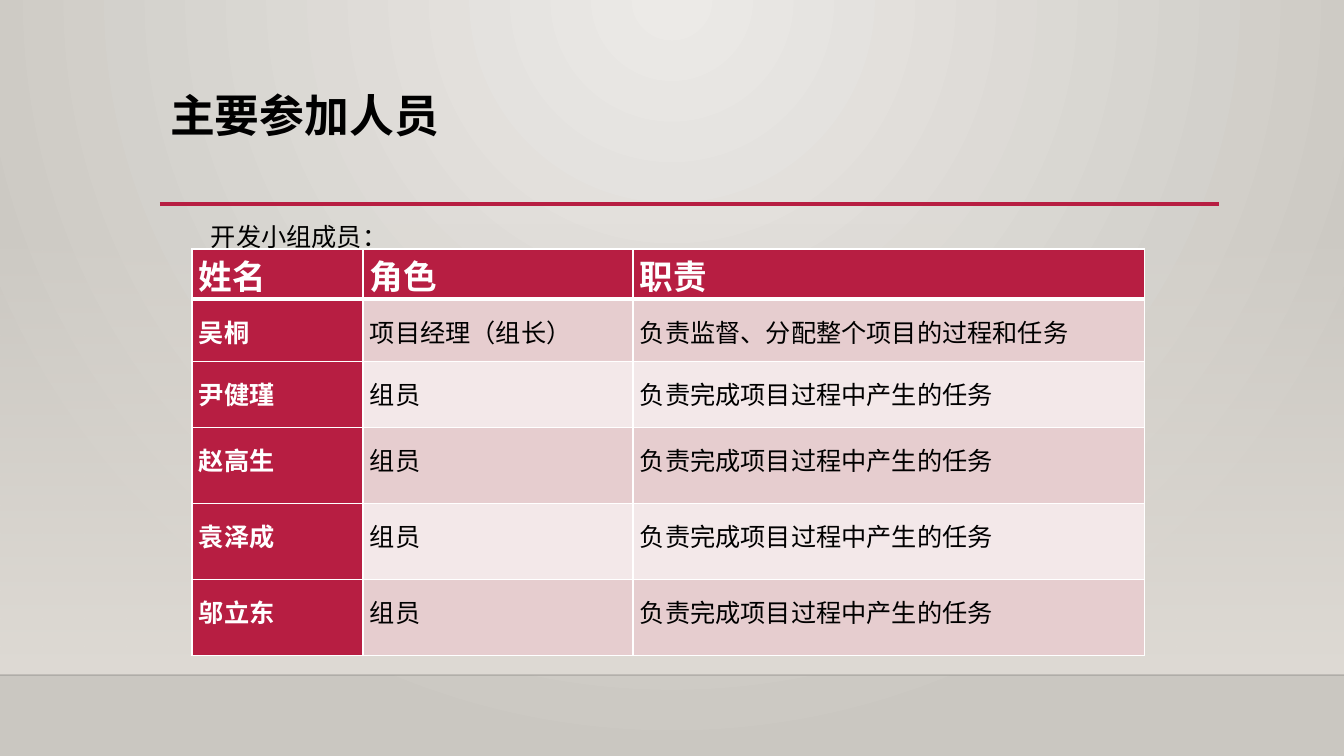
from dataclasses import dataclass

from lxml.etree import SubElement
from pptx import Presentation
from pptx.dml.color import RGBColor
from pptx.enum.shapes import MSO_CONNECTOR, MSO_SHAPE
from pptx.enum.text import MSO_ANCHOR, MSO_AUTO_SIZE, PP_ALIGN
from pptx.oxml import parse_xml
from pptx.oxml.ns import nsdecls, qn
from pptx.util import Pt

SLIDE_W, SLIDE_H = 1344, 756


@dataclass(frozen=True)
class Theme:
    """Colours, fonts and type sizes of the deck."""
    ink: str = "000000"
    white: str = "FFFFFF"
    accent: str = "B71E42"
    bands: tuple = ("E6CDCF", "F3E8E9")
    glow: tuple = ("ECEAE7", "CAC7C1")
    wall: str = "DFDBD5"
    font: str = "Cabin"
    duty_font: str = "Times New Roman"
    title_size: int = 32
    header_size: int = 24
    body_size: int = 18
    line_pitch: int = 18


THEME = Theme()
HEADERS = ("姓名", "角色", "职责")
TASK = "负责完成项目过程中产生的任务"
MEMBERS = [("吴桐", "项目经理（组长）", "负责监督、分配整个项目的过程和任务")] + [
    (name, "组员", TASK) for name in ("尹健瑾", "赵高生", "袁泽成", "邬立东")]
COLUMN_WIDTHS = (171, 270, 512)
ROW_HEIGHTS = (50, 62, 66, 76, 76, 76)


def px(length):
    """Turn pixels into EMU."""
    return round(length * 12192000 / SLIDE_W)


def box_emu(box):
    """Turn a pixel box into EMU."""
    return [px(length) for length in box]


def style_font(font, size, color, bold=False, face=THEME.font):
    """Set the size, colour, weight and face of a font."""
    font.size, font.bold, font.name = Pt(size), bold, face
    font.color.rgb = RGBColor.from_string(color)


def set_gradient(fill, stops, direction):
    """Give a fill a gradient of (position, colour, opacity) stops."""
    fill.gradient()
    gradient = fill._fill._gradFill
    stop_xml = "".join(
        f'<a:gs pos="{position * 1000}"><a:srgbClr val="{color}">'
        f'<a:alpha val="{opacity * 1000}"/></a:srgbClr></a:gs>'
        for position, color, opacity in stops)
    gradient.getparent().replace(gradient, parse_xml(
        f'<a:gradFill {nsdecls("a")} rotWithShape="1"><a:gsLst>{stop_xml}</a:gsLst>'
        f'{direction}</a:gradFill>'))


def add_rule(slide, left, top, width, color, weight, opacity=100):
    """Draw a horizontal rule."""
    rule = slide.shapes.add_connector(
        MSO_CONNECTOR.STRAIGHT, *box_emu((left, top, left + width, top)))
    rule.line.width = Pt(weight)
    rule.line.color.rgb = RGBColor.from_string(color)
    SubElement(rule._element.spPr, qn("a:effectLst"))
    if opacity < 100:
        tint = next(rule._element.spPr.iter(qn("a:srgbClr")))
        SubElement(tint, qn("a:alpha")).set("val", str(opacity * 1000))


def add_backdrop(slide, left, top, width, height):
    """Paint the glowing wall and the floor edge."""
    inner, outer = THEME.glow
    set_gradient(
        slide.background.fill, [(0, inner, 100), (100, outer, 100)],
        '<a:path path="circle"><a:fillToRect l="43000" r="43000" b="100000"/></a:path>')
    floor = top + height - 81
    wall_top = top + 223
    wall = slide.shapes.add_shape(
        MSO_SHAPE.RECTANGLE, *box_emu((left, wall_top, width, floor - wall_top)))
    wall.shadow.inherit = False
    wall.line.fill.background()
    set_gradient(wall.fill, [(0, THEME.wall, 0), (100, THEME.wall, 100)],
                 '<a:lin ang="5400000" scaled="0"/>')
    add_rule(slide, left, floor, width, THEME.ink, 1, opacity=20)


def add_heading(slide, left, top, width, height):
    """Place the slide title and the rule below it."""
    title = slide.shapes.title
    title.left, title.top, title.width, title.height = box_emu((left, top, width, height))
    frame = title.text_frame
    frame.text = "主要参加人员"
    frame.vertical_anchor = MSO_ANCHOR.TOP
    frame.auto_size = MSO_AUTO_SIZE.NONE
    heading = frame.paragraphs[0]
    heading.alignment = PP_ALIGN.LEFT
    heading.line_spacing = 0.9
    style_font(heading.font, THEME.title_size, THEME.ink, bold=True)
    add_rule(slide, left, top + height - 1, width, THEME.accent, 2.5)


def set_borders(cell, row):
    """Draw white cell borders, thicker below the header row."""
    weights = {"L": 1, "R": 1, "T": 3 if row == 1 else 1, "B": 3 if row == 0 else 1}
    for position, (side, weight) in enumerate(weights.items()):
        cell._tc.get_or_add_tcPr().insert(position, parse_xml(
            f'<a:ln{side} {nsdecls("a")} w="{Pt(weight)}"><a:solidFill>'
            f'<a:srgbClr val="{THEME.white}"/></a:solidFill></a:ln{side}>'))


def fill_cell(cell, row, column, text):
    """Write and format one cell of the member table."""
    strong = row == 0 or column == 0
    fill = THEME.accent if strong else THEME.bands[(row - 1) % 2]
    cell.fill.solid()
    cell.fill.fore_color.rgb = RGBColor.from_string(fill)
    set_borders(cell, row)
    cell.margin_left = cell.margin_right = px(7)
    cell.margin_top, cell.margin_bottom = px(25), 0
    cell.vertical_anchor = MSO_ANCHOR.TOP
    cell.text = text
    entry = cell.text_frame.paragraphs[0]
    entry.line_spacing = Pt(THEME.line_pitch)
    style_font(entry.font, THEME.body_size if row else THEME.header_size,
               THEME.white if strong else THEME.ink, bold=strong,
               face=THEME.duty_font if column == 2 else THEME.font)


def add_member_table(slide, left, top, width, height):
    """Place the member table and the label above it."""
    members = slide.shapes.add_table(
        len(ROW_HEIGHTS), len(HEADERS), *box_emu((left, top, width, height))).table
    members.horz_banding = False
    for column, column_width in zip(members.columns, COLUMN_WIDTHS):
        column.width = px(column_width)
    for row, row_height in zip(members.rows, ROW_HEIGHTS):
        row.height = px(row_height)
    for row, entries in enumerate([HEADERS, *MEMBERS]):
        for column, text in enumerate(entries):
            fill_cell(members.cell(row, column), row, column, text)

    label = slide.shapes.add_textbox(*box_emu((left + 9, top - 33, 302, 40))).text_frame
    label.word_wrap = True
    label.text = "开发小组成员："
    style_font(label.paragraphs[0].font, THEME.body_size, THEME.ink)


def add_members_slide(deck):
    """Build the slide that lists the project members."""
    slide = deck.slides.add_slide(deck.slide_layouts[5])
    add_backdrop(slide, 0, 0, SLIDE_W, SLIDE_H)
    add_heading(slide, 160, 89, 1059, 116)
    add_member_table(slide, 192, 249, sum(COLUMN_WIDTHS), sum(ROW_HEIGHTS))


def main():
    """Build and save the deck."""
    deck = Presentation()
    deck.slide_width, deck.slide_height = px(SLIDE_W), px(SLIDE_H)
    add_members_slide(deck)
    deck.save("out.pptx")


if __name__ == "__main__":
    main()
